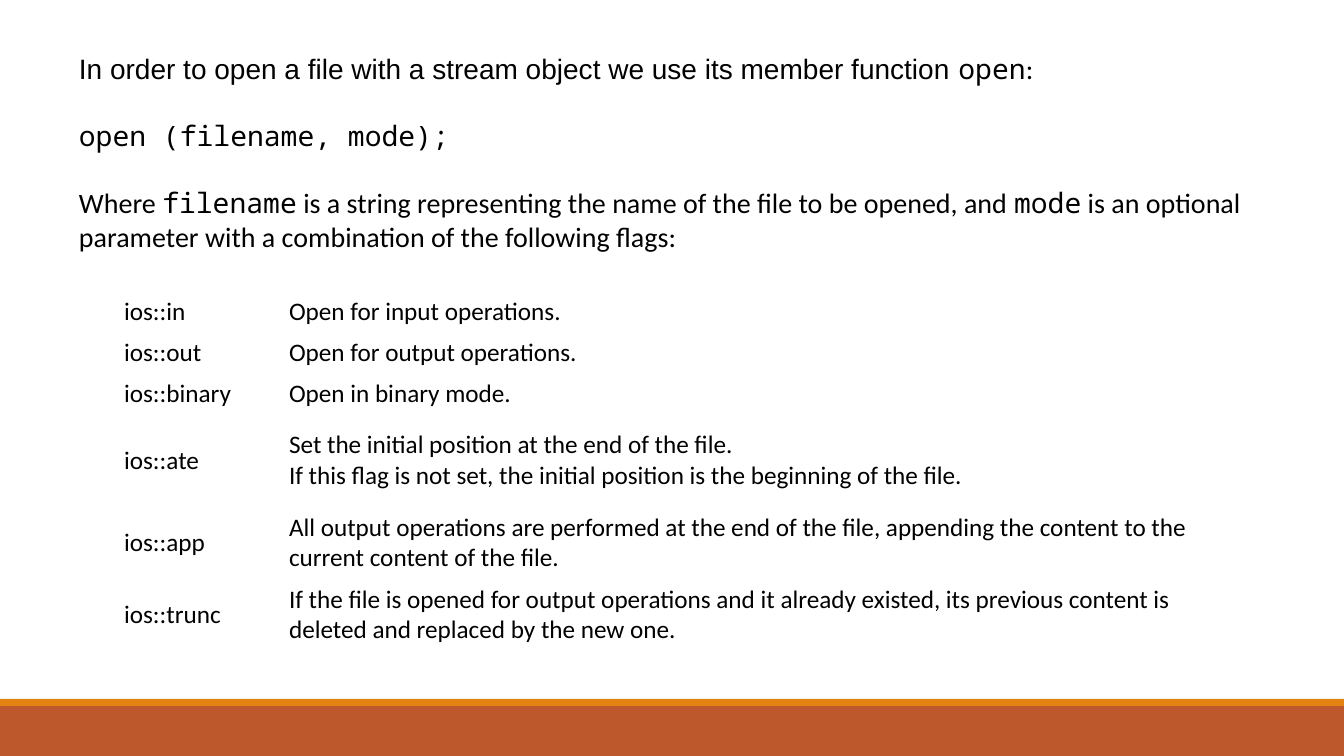
from dataclasses import dataclass

from pptx import Presentation
from pptx import util as u
from pptx.dml.color import RGBColor
from pptx.enum import shapes, text

PX_PER_INCH = 100.8


def px(count):
    return u.Emu(round(count * 914400 / PX_PER_INCH))


@dataclass(frozen=True)
class Theme:
    ink: str = "000000"
    footer: str = "BD582C"
    stripe: str = "E48312"
    body: str = "Calibri"
    intro: str = "Arial"
    code: str = "Noto Sans Mono"
    text_size: int = 20
    table_size: int = 18
    line_pitch: int = 24


class SlideBuilder:
    def __init__(self, page, theme):
        self.page = page
        self.theme = theme

    def style(self, font, size, name=None):
        font.size = u.Pt(size)
        font.color.rgb = RGBColor.from_string(self.theme.ink)
        if name:
            font.name = name

    def bar(self, top, height, color):
        bar = self.page.shapes.add_shape(
            shapes.MSO_SHAPE.RECTANGLE, 0, px(top), px(1344), px(height))
        bar.shadow.inherit = False
        bar.fill.solid()
        bar.fill.fore_color.rgb = RGBColor.from_string(color)
        bar.line.fill.background()

    def text_box(self, left, top, width, height, paragraphs):
        box = self.page.shapes.add_textbox(*map(px, (left, top, width, height)))
        frame = box.text_frame
        frame.word_wrap = True
        frame.margin_top = px(8)
        for index, spans in enumerate(paragraphs):
            para = frame.add_paragraph() if index else frame.paragraphs[0]
            para.line_spacing = u.Pt(self.theme.line_pitch)
            para.space_before = u.Pt(self.theme.line_pitch if index else 0)
            self.style(para.font, self.theme.text_size)
            for words, font_name in spans:
                span = para.add_run()
                span.text = words
                span.font.name = font_name

    def table(self, left, top, widths, heights, rows):
        frame = self.page.shapes.add_table(
            len(rows), len(widths), px(left), px(top),
            px(sum(widths)), px(sum(heights)))
        table = frame.table
        table.first_row = table.horz_banding = False
        for column, width in zip(table.columns, widths):
            column.width = px(width)
        for row, height, entries in zip(table.rows, heights, rows):
            row.height = px(height)
            for cell, words in zip(row.cells, entries):
                cell.fill.background()
                cell.vertical_anchor = text.MSO_ANCHOR.MIDDLE
                para = cell.text_frame.paragraphs[0]
                para.text = words
                self.style(para.font, self.theme.table_size, self.theme.body)


def main():
    theme = Theme()
    deck = Presentation()
    deck.slide_width, deck.slide_height = px(1344), px(756)
    page = deck.slides.add_slide(deck.slide_layouts.get_by_name("Blank"))
    builder = SlideBuilder(page, theme)

    # Footer bands
    builder.bar(706, 50, theme.footer)
    builder.bar(699, 7, theme.stripe)

    # Open mode flags
    flags = [
        ("ios::in", "Open for input operations."),
        ("ios::out", "Open for output operations."),
        ("ios::binary", "Open in binary mode."),
        ("ios::ate", "Set the initial position at the end of the file.\v"
         "If this flag is not set, the initial position is the beginning of the file."),
        ("ios::app", "All output operations are performed at the end of the file, "
         "appending the content to the current content of the file."),
        ("ios::trunc", "If the file is opened for output operations and it already "
         "existed, its previous content is deleted and replaced by the new one."),
    ]
    builder.table(114, 291, (165, 944), (41, 41, 41, 93, 72, 70), flags)

    # Explanation of open()
    builder.text_box(69, 43, 1256, 248, [
        [("In order to open a file with a stream object we use its member function ",
          theme.intro), ("open", theme.code), (":", theme.body)],
        [("open (filename, mode);", theme.code)],
        [("Where ", theme.body), ("filename", theme.code),
         (" is a string representing the name of the file to be opened, and ", theme.body),
         ("mode", theme.code),
         (" is an optional parameter with a combination of the following flags:",
          theme.body)],
    ])

    deck.save("out.pptx")


if __name__ == "__main__":
    main()
